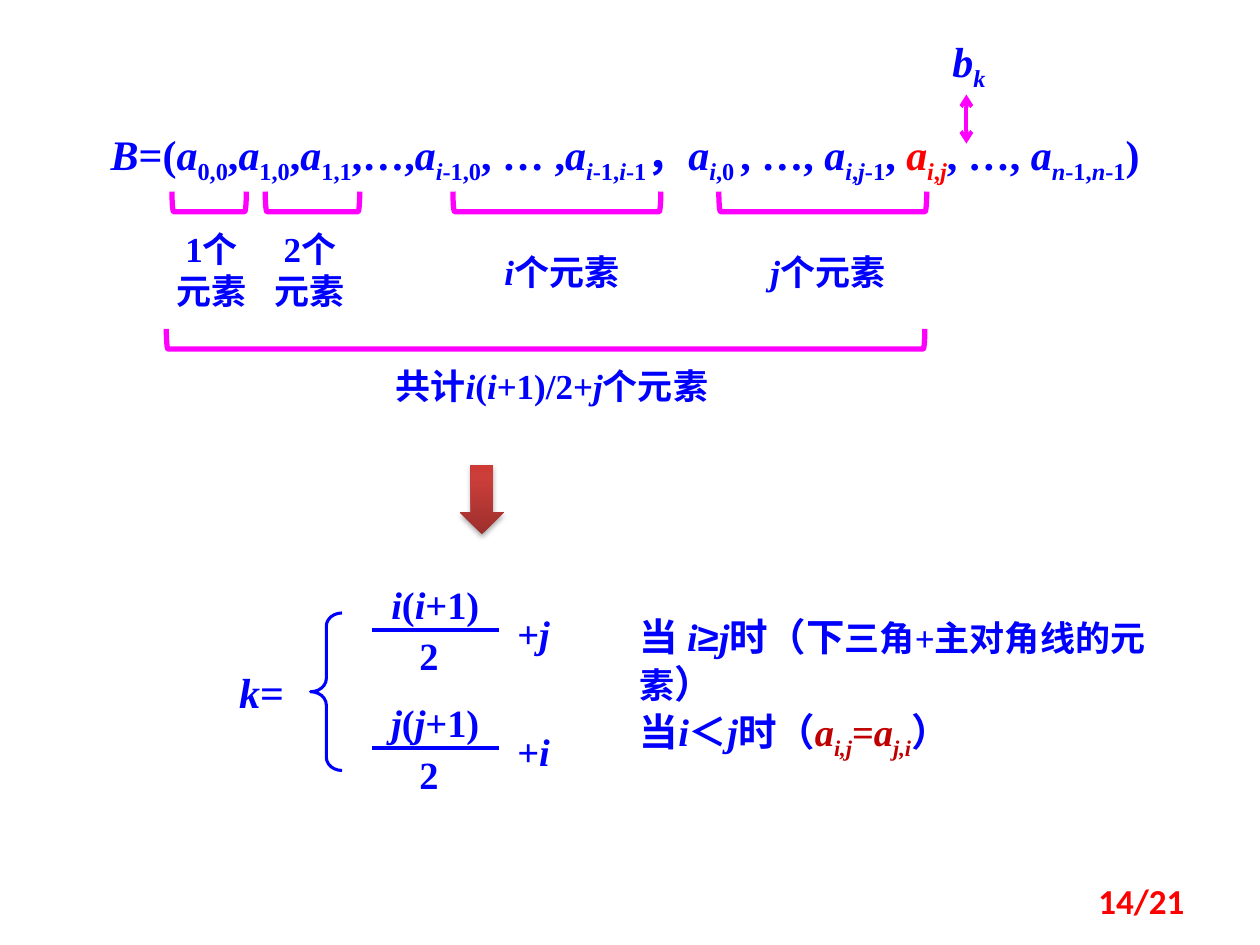
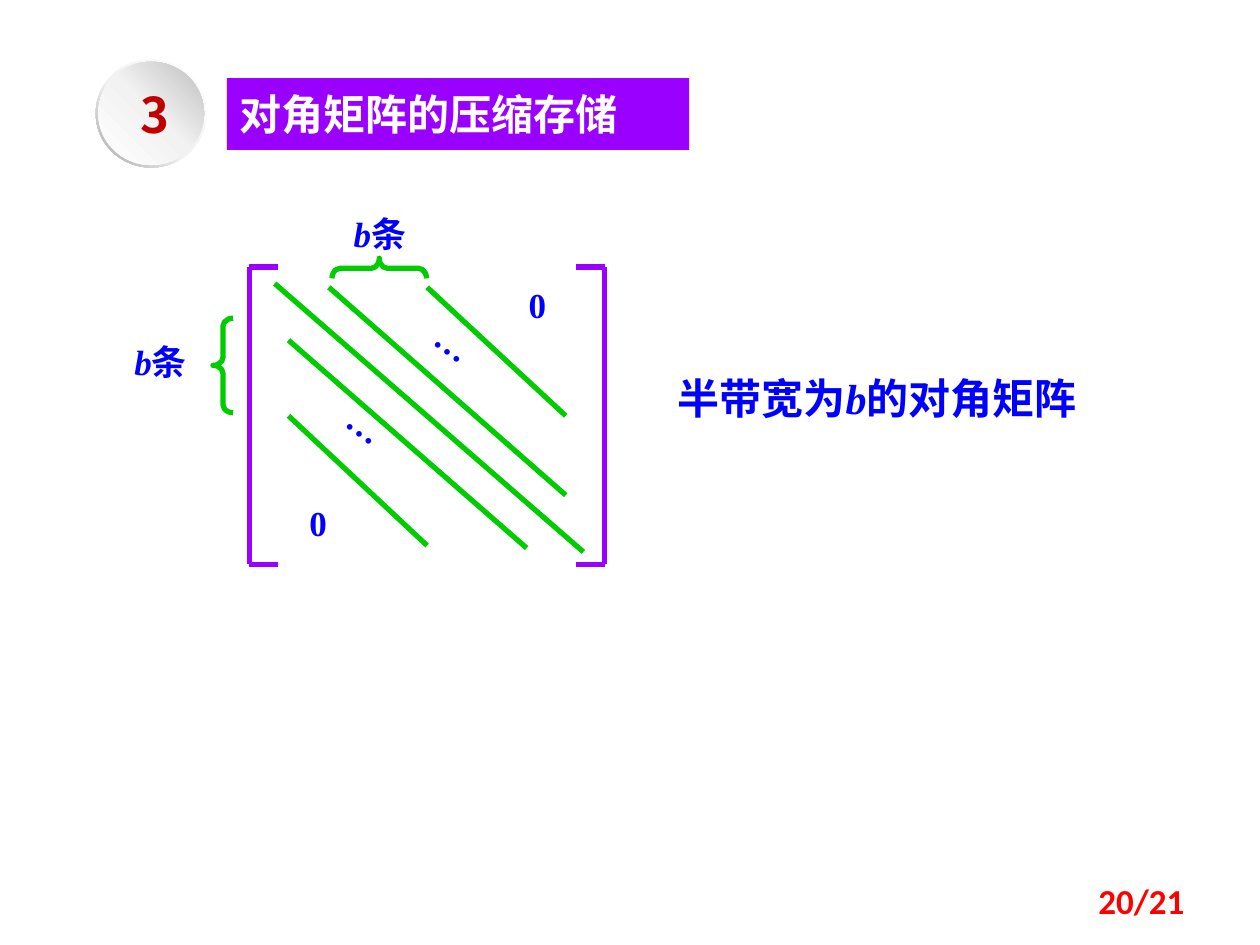
import itertools
from dataclasses import dataclass

import lxml.etree
import pptx
import pptx.dml.color
import pptx.enum.shapes
import pptx.enum.text
import pptx.oxml
import pptx.oxml.ns
import pptx.util

Inches = pptx.util.Inches
Pt = pptx.util.Pt
SHAPES = pptx.enum.shapes.MSO_SHAPE
ALIGN = pptx.enum.text.PP_ALIGN
ANCHOR = pptx.enum.text.MSO_ANCHOR
qn = pptx.oxml.ns.qn


@dataclass(frozen=True)
class Theme:
    blue: str = "0000FF"
    red: str = "FF0000"
    dark_red: str = "C00000"
    pink: str = "FF00FF"
    purple: str = "9900FF"
    green: str = "00CC00"
    white: str = "FFFFFF"
    serif: str = "Times New Roman"
    chinese: str = "Noto Sans CJK SC"
    symbol: str = "Arial"
    number: str = "Calibri"
    big: int = 24
    medium: int = 22
    small: int = 20
    badge: int = 28


THEME = Theme()

# Text marks: *italic*  _subscript_  ^accent colour^  ~symbol font~  |small size|
MARKS = "*_^~|"

SEQUENCE = ("*B*=(*a*_0,0_,*a*_1,0_,*a*_1,1_,…,*a*_*i*-1,0_, … ,*a*_*i*-1,*i*-1_，"
            "*a*_*i*,0 _, …, *a*_*i*,*j*-1_, ^*a*_*i*,*j*_^, …,* a*_*n*-1,*n*-1_)")

# bracket centre x, length, bracket centre y, label, label centre x, centre y, width, height
COUNTS = [
    (1.66, 0.59, 1.6, "1个\n元素", 1.68, 2.14, 0.86, 0.77),
    (2.48, 0.75, 1.6, "2个\n元素", 2.46, 2.14, 0.86, 0.77),
    (4.42, 1.65, 1.6, "*i*个元素", 4.46, 2.16, 1.41, 0.44),
    (6.53, 1.65, 1.6, "*j*个元素", 6.57, 2.16, 1.41, 0.44),
    (4.33, 6.02, 2.69, "共计*i*(*i*+1)/2+*j*个元素", 4.38, 3.06, 3.13, 0.44),
]

FRACTIONS = [("*i*(*i*+1)", "+*j*"), ("*j*(*j*+1)", "+*i*")]
FRACTION_TOP, FRACTION_STEP = 4.61, 0.94

CONDITIONS = [
    ("当 *i*~≥~*j*时（下|三角+主对角线的元素|）", 4.82, 4.71),
    ("当*i*＜*j*时（^*a*_*i,j*_=*a*_*j,i*_^）", 5.57, 2.97),
]

DIAGONALS = [
    (2.18, 2.25, 4.63, 4.38),
    (2.61, 2.28, 4.49, 3.93),
    (3.39, 2.28, 4.49, 3.3),
    (2.29, 2.7, 4.18, 4.35),
    (2.29, 3.3, 3.39, 4.33),
]
MATRIX_LEFT, MATRIX_RIGHT, MATRIX_TOP, MATRIX_BOTTOM, MATRIX_LIP = 1.98, 4.8, 2.12, 4.48, 0.23

MATRIX_LABELS = [("*b*条", 0.88, 2.65), ("*b*条", 2.62, 1.64), ("0", 2.13, 3.93), ("0", 3.87, 2.2)]
MATRIX_DOTS = [(2.46, 3.23), (3.16, 2.58)]

# left, top, width, height, shape, gradient stops, angle
BADGE = [
    (0.76, 0.47, 0.88, 0.86, SHAPES.DONUT, [(0, "FFFFFF"), (55, "F2F2F2"), (100, "A6A6A6")], 135),
    (0.78, 0.49, 0.84, 0.82, SHAPES.OVAL, [(0, "FFFFFF"), (51, "F2F2F2"), (100, "BFBFBF")], 315),
]
ARROW_STOPS = [(0, "9C2F2D"), (80, "CB3E3A"), (100, "CE3B37")]


def rgb(color):
    return pptx.dml.color.RGBColor.from_string(color)


def marked_runs(text):
    """Yield (piece, set of active marks) for a marked-up line."""
    active, letters = frozenset(), []
    for letter in text:
        if letter in MARKS:
            active = active ^ {letter}
        else:
            letters.append((letter, active))
    for marks, group in itertools.groupby(letters, key=lambda pair: pair[1]):
        yield "".join(letter for letter, _ in group), marks


def write(box, text, size, color=THEME.blue, font=THEME.serif, align=ALIGN.LEFT,
          accent=THEME.red, anchor=ANCHOR.TOP, margins=(0.1, 0.05)):
    frame = box.text_frame
    frame.word_wrap = True
    frame.vertical_anchor = anchor
    frame.margin_left = frame.margin_right = Inches(margins[0])
    frame.margin_top = frame.margin_bottom = Inches(margins[1])
    for index, line in enumerate(text.split("\n")):
        para = frame.add_paragraph() if index else frame.paragraphs[0]
        para.alignment = align
        for piece, marks in marked_runs(line):
            span = para.add_run()
            span.text = piece
            span.font.bold = True
            span.font.italic = "*" in marks
            span.font.size = Pt(THEME.small if "|" in marks else size)
            span.font.color.rgb = rgb(accent if "^" in marks else color)
            span.font.name = THEME.symbol if "~" in marks else font
            properties = span._r.get_or_add_rPr()
            if "_" in marks:
                properties.set("baseline", "-25000")
            latin = properties.find(qn("a:latin"))
            east_asian = lxml.etree.Element(qn("a:ea"), typeface=THEME.chinese)
            latin.addnext(east_asian)


def add_text(page, left, top, width, height, text, size, **style):
    box = page.shapes.add_textbox(Inches(left), Inches(top), Inches(width), Inches(height))
    write(box, text, size, **style)
    return box


def add_line(page, points, color, weight, arrows=False):
    line = page.shapes.add_connector(pptx.enum.shapes.MSO_CONNECTOR.STRAIGHT,
                                     *[Inches(value) for value in points])
    line.line.color.rgb = rgb(color)
    line.line.width = Pt(weight)
    if arrows:
        for end in ("a:headEnd", "a:tailEnd"):
            lxml.etree.SubElement(line.line._ln, qn(end), type="arrow")
    lxml.etree.SubElement(line._element.spPr, qn("a:effectLst"))


def add_plain_shape(page, kind, left, top, width, height):
    shape = page.shapes.add_shape(kind, Inches(left), Inches(top), Inches(width), Inches(height))
    shape.shadow.inherit = False
    shape.line.fill.background()
    return shape


def add_bracket(page, kind, center_x, center_y, length, color, weight=3,
                depth=0.16, rotation=0, curve=None):
    """Draw a left bracket or brace by its centre, then turn it."""
    shape = add_plain_shape(page, kind, center_x - depth / 2, center_y - length / 2, depth, length)
    shape.rotation = rotation
    shape.fill.background()
    shape.line.color.rgb = rgb(color)
    shape.line.width = Pt(weight)
    if curve is not None:
        shape.adjustments[0] = curve


def fill_gradient(shape, stops, angle):
    shape.fill.gradient()
    gradient = shape._element.spPr.find(qn("a:gradFill"))
    for child in list(gradient):
        gradient.remove(child)
    stop_list = lxml.etree.SubElement(gradient, qn("a:gsLst"))
    for position, color in stops:
        stop = lxml.etree.SubElement(stop_list, qn("a:gs"), pos=str(position * 1000))
        lxml.etree.SubElement(stop, qn("a:srgbClr"), val=color)
    lxml.etree.SubElement(gradient, qn("a:lin"), ang=str(angle * 60000), scaled="0")


def add_drop_shadow(shape):
    effects = shape._element.spPr.find(qn("a:effectLst"))
    shadow = lxml.etree.SubElement(effects, qn("a:outerShdw"), blurRad=str(Pt(3.1)),
                                   dist=str(Pt(1.8)), dir="5400000", rotWithShape="0")
    color = lxml.etree.SubElement(shadow, qn("a:srgbClr"), val="000000")
    lxml.etree.SubElement(color, qn("a:alpha"), val="35000")


def add_page(deck, number):
    page = deck.slides.add_slide(deck.slide_layouts[6])
    add_text(page, 7.17, 6.95, 2.33, 0.4, number, THEME.small, color=THEME.red,
             font=THEME.number, align=ALIGN.RIGHT, anchor=ANCHOR.MIDDLE)
    return page


def build_index_formula(deck):
    page = add_page(deck, "14/21")
    add_text(page, 0.78, 0.97, 9.06, 0.5, SEQUENCE, THEME.big)
    add_text(page, 7.34, 0.23, 0.7, 0.5, "*b*_*k*_", THEME.big, align=ALIGN.CENTER)
    add_line(page, (7.67, 0.75, 7.67, 1.14), THEME.pink, 2.25, arrows=True)

    for center_x, length, center_y, label, label_x, label_y, width, height in COUNTS:
        add_bracket(page, SHAPES.LEFT_BRACKET, center_x, center_y, length, THEME.pink, rotation=270)
        add_text(page, label_x - width / 2, label_y - height / 2, width, height,
                 label, THEME.small, align=ALIGN.CENTER)

    arrow = add_plain_shape(page, SHAPES.DOWN_ARROW, 3.65, 3.69, 0.35, 0.55)
    fill_gradient(arrow, ARROW_STOPS, 270)
    add_drop_shadow(arrow)

    add_text(page, 1.8, 5.24, 0.67, 0.5, "*k*=", THEME.big)
    add_bracket(page, SHAPES.LEFT_BRACE, 2.59, 5.49, 1.25, THEME.blue, weight=1.75,
                depth=0.25, curve=0.417)
    for row, (numerator, addend) in enumerate(FRACTIONS):
        top = FRACTION_TOP + row * FRACTION_STEP
        parts = [(2.87, 0, 1.17, numerator), (3.13, 0.41, 0.55, "2"), (3.96, 0.23, 0.55, addend)]
        for left, drop, width, text in parts:
            add_text(page, left, top + drop, width, 0.37, text, THEME.medium,
                     align=ALIGN.CENTER, margins=(0, 0))
        add_line(page, (2.95, top + 0.39, 3.96, top + 0.39), THEME.blue, 2.25)
    for text, top, width in CONDITIONS:
        add_text(page, 4.98, top, width, 0.47, text, THEME.medium, accent=THEME.dark_red)


def build_diagonal_matrix(deck):
    page = add_page(deck, "20/21")
    title = add_plain_shape(page, SHAPES.RECTANGLE, 1.8, 0.62, 3.67, 0.57)
    title.fill.solid()
    title.fill.fore_color.rgb = rgb(THEME.purple)
    write(title, "对角矩阵的压缩存储", THEME.big, color=THEME.white, font=THEME.chinese,
          anchor=ANCHOR.MIDDLE, margins=(0.1, 0.08))

    for left, top, width, height, kind, stops, angle in BADGE:
        disc = add_plain_shape(page, kind, left, top, width, height)
        if kind == SHAPES.DONUT:
            disc.adjustments[0] = 0.049
        fill_gradient(disc, stops, angle)
    add_text(page, 1, 0.67, 0.46, 0.47, "3", THEME.badge, color=THEME.dark_red,
             font=THEME.chinese, align=ALIGN.CENTER, margins=(0, 0))

    add_text(page, 5.28, 2.91, 3.7, 0.5, "半带宽为*b*的对角矩阵", THEME.big)

    for side, lip in ((MATRIX_LEFT, MATRIX_LIP), (MATRIX_RIGHT, -MATRIX_LIP)):
        add_line(page, (side, MATRIX_TOP, side, MATRIX_BOTTOM), THEME.purple, 3)
        for edge in (MATRIX_TOP, MATRIX_BOTTOM):
            add_line(page, (side, edge, side + lip, edge), THEME.purple, 3)
    for diagonal in DIAGONALS:
        add_line(page, diagonal, THEME.green, 3)
    for center_x, center_y, rotation in ((1.77, 2.9, 0), (3.01, 2.13, 90)):
        add_bracket(page, SHAPES.LEFT_BRACE, center_x, center_y, 0.75, THEME.green,
                    rotation=rotation, curve=0.395)

    for text, left, top in MATRIX_LABELS:
        add_text(page, left, top, 0.79, 0.43, text, THEME.small, align=ALIGN.CENTER)
    for left, top in MATRIX_DOTS:
        dots = add_text(page, left, top, 0.79, 0.43, "…", THEME.small,
                        font=THEME.chinese, align=ALIGN.CENTER)
        dots.rotation = 36.9


def main():
    deck = pptx.Presentation()
    deck.slide_width, deck.slide_height = Inches(10), Inches(7.5)
    build_index_formula(deck)
    build_diagonal_matrix(deck)
    deck.save("out.pptx")


if __name__ == "__main__":
    main()
